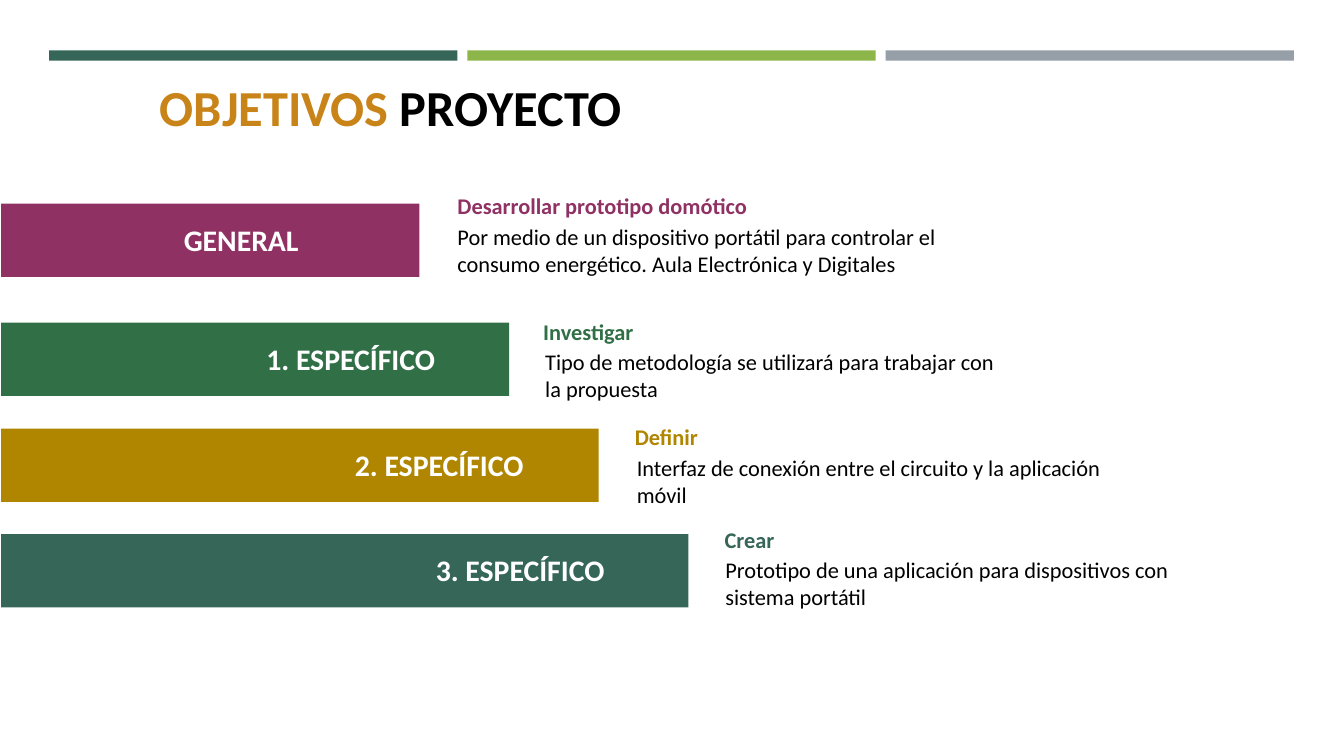
from dataclasses import dataclass

import pptx
import pptx.dml.color
import pptx.enum.shapes
import pptx.enum.text
import pptx.util
from pptx.shapes.autoshape import Shape
from pptx.slide import Slide
from pptx.util import Cm

FONT = "Calibri"
BLACK = "000000"
WHITE = "FFFFFF"
STRIP_COLORS = ("366658", "8CB64A", "969FA7")
STRIP_LEFT, STRIP_STEP = 1.24, 10.54
BAR_LEFT, BAR_HEIGHT = 0.03, 1.85
BAR_WIDTH, BAR_GROWTH = 10.54, 2.26
LABEL_DROP, LABEL_HEIGHT = 0.33, 1.17
DETAIL_DROP = 0.77


@dataclass(frozen=True)
class Objective:
    label: str
    heading: str
    detail: str
    color: str
    bar_top: float
    label_left: float
    label_width: float
    heading_left: float
    heading_top: float
    heading_width: float
    detail_left: float
    detail_width: float


OBJECTIVES = (
    Objective(
        "GENERAL", "Desarrollar prototipo domótico",
        "Por medio de un dispositivo portátil para controlar el consumo "
        "energético. Aula Electrónica y Digitales",
        "903163", 5.13, 3.78, 4.6, 11.28, 4.72, 14.17, 11.28, 12.8,
    ),
    Objective(
        "1. ESPECÍFICO", "Investigar",
        "Tipo de metodología se utilizará para trabajar con la propuesta",
        "317047", 8.13, 5.79, 6.1, 13.44, 7.88, 11.38, 13.49, 11.96,
    ),
    Objective(
        "2. ESPECÍFICO", "Definir",
        "Interfaz de conexión entre el circuito y la aplicación móvil",
        "B08600", 10.8, 7.82, 6.5, 15.75, 10.54, 11.38, 15.8, 12.65,
    ),
    Objective(
        "3. ESPECÍFICO", "Crear",
        "Prototipo de una aplicación para dispositivos con sistema portátil",
        "366658", 13.46, 9.86, 6.5, 18.01, 13.13, 11.38, 18.03, 12.09,
    ),
)


def rgb(color: str) -> pptx.dml.color.RGBColor:
    return pptx.dml.color.RGBColor.from_string(color)


def add_bar(slide: Slide, left: float, top: float, width: float,
            height: float, color: str) -> None:
    bar = slide.shapes.add_shape(
        pptx.enum.shapes.MSO_SHAPE.RECTANGLE,
        Cm(left), Cm(top), Cm(width), Cm(height))
    bar.shadow.inherit = False
    bar.fill.solid()
    bar.fill.fore_color.rgb = rgb(color)
    bar.line.fill.background()


def style_run(run, size: float, color: str, bold: bool) -> None:
    run.font.name = FONT
    run.font.size = pptx.util.Pt(size)
    run.font.bold = bold
    run.font.color.rgb = rgb(color)


def add_text(slide: Slide, text: str, left: float, top: float, width: float,
             height: float, size: float, color: str, bold: bool) -> Shape:
    box = slide.shapes.add_textbox(Cm(left), Cm(top), Cm(width), Cm(height))
    box.text_frame.word_wrap = True
    box.text_frame.text = text
    style_run(box.text_frame.paragraphs[0].runs[0], size, color, bold)
    return box


def add_title(slide: Slide) -> None:
    title = add_text(slide, "OBJETIVOS ", 3.78, 1.8, 25.22, 1.78,
                     36, "C88419", True)
    title.text_frame.vertical_anchor = pptx.enum.text.MSO_ANCHOR.MIDDLE
    project = title.text_frame.paragraphs[0].add_run()
    project.text = "PROYECTO"
    style_run(project, 36, BLACK, True)


def add_objective(slide: Slide, objective: Objective, bar_width: float) -> None:
    add_bar(slide, BAR_LEFT, objective.bar_top, bar_width, BAR_HEIGHT,
            objective.color)
    label = add_text(slide, objective.label, objective.label_left,
                     objective.bar_top + LABEL_DROP, objective.label_width,
                     LABEL_HEIGHT, 21.3, WHITE, True)
    label.text_frame.paragraphs[0].alignment = pptx.enum.text.PP_ALIGN.CENTER
    add_text(slide, objective.heading, objective.heading_left,
             objective.heading_top, objective.heading_width, 0.94,
             16, objective.color, True)
    add_text(slide, objective.detail, objective.detail_left,
             objective.heading_top + DETAIL_DROP, objective.detail_width, 1.63,
             16, BLACK, False)


def main() -> None:
    presentation = pptx.Presentation()
    presentation.slide_width = Cm(33.87)
    presentation.slide_height = Cm(19.05)
    slide = presentation.slides.add_slide(presentation.slide_layouts[6])

    for index, color in enumerate(STRIP_COLORS):
        add_bar(slide, STRIP_LEFT + index * STRIP_STEP, 1.27, 10.29, 0.26, color)
    add_title(slide)
    for index, objective in enumerate(OBJECTIVES):
        add_objective(slide, objective, BAR_WIDTH + index * BAR_GROWTH)

    presentation.save("out.pptx")


if __name__ == "__main__":
    main()
